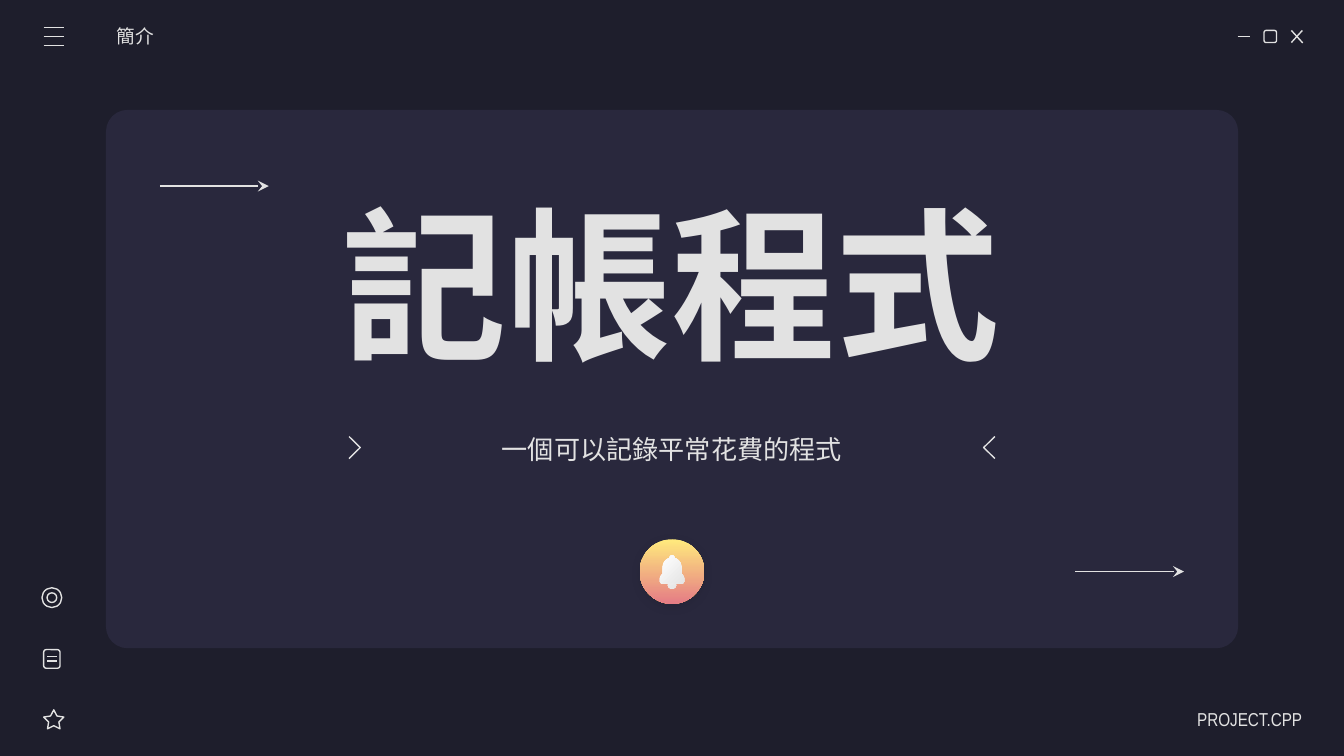
from lxml import etree
from pptx import Presentation
from pptx.dml.color import RGBColor
from pptx.enum.shapes import MSO_CONNECTOR, MSO_SHAPE
from pptx.enum.text import MSO_ANCHOR, PP_ALIGN
from pptx.oxml.ns import qn
from pptx.util import Pt

STRAIGHT = MSO_CONNECTOR.STRAIGHT
ROUNDED, OVAL, STAR = MSO_SHAPE.ROUNDED_RECTANGLE, MSO_SHAPE.OVAL, MSO_SHAPE.STAR_5_POINT
LEFT, CENTER, RIGHT = PP_ALIGN.LEFT, PP_ALIGN.CENTER, PP_ALIGN.RIGHT
MIDDLE = MSO_ANCHOR.MIDDLE

THEME = {
    "background": "1E1E2C", "panel": "29283D", "ink": "E2E2E2",
    "badge": ("FFEA7D", "E57C85"), "bell": ("FFFFFF", "E2E2E2"),
    "font": "Arial Narrow", "code_font": "Fira Code",
    "title": 88, "subtitle": 14, "label": 10, "line": 0.75,
}
WIDTH, HEIGHT = 720, 405
MIDDLE_X = WIDTH / 2
INSET = 7.2

TEXTS = [
    ("簡介", (62.6, 8.6, 84.2, 21.6), LEFT, "label", "font", False, (0, INSET)),
    ("記帳程式", (141.1, 100.1, 437, 102.2), CENTER, "title", "font", True, (INSET, INSET)),
    ("一個可以記錄平常花費的程式", (193, 205.9, 334.1, 69.8), CENTER, "subtitle", "code_font", False, (INSET, INSET)),
    ("PROJECT.CPP", (613.4, 374.4, 84.2, 21.6), RIGHT, "label", "font", False, (INSET, 0)),
]
MENU_BARS = [(23.4, y, 34.3, y) for y in (14.8, 19.6, 24.4)]
WINDOW_LINES = [(663.1, 19.6, 669.6, 19.6), (691.8, 16.3, 697.9, 23), (697.7, 16.3, 691.8, 22.8)]
NOTE_LINES = [(25.2, y, 30.5, y) for y in (351.7, 354.2)]
ARROWS = [(85.7, 99.7, 144, 99.7), (576, 306.2, 634.3, 306.2)]
ICONS = [
    (ROUNDED, (677.2, 16.3, 6.7, 6.5), None),
    (STAR, (23.4, 380.3, 10.8, 10.2), 0.254),
    (ROUNDED, (23.4, 348, 8.8, 10), None),
    (OVAL, (22.5, 314.9, 10.6, 10.6), None),
    (OVAL, (25.2, 317.6, 5.2, 5.2), None),
]
CHEVRON = [(187, 233.9), (193, 239.8), (187, 245.7)]
BELL_TOP = 297.4
BELL_CURVES = [
    ((0, 0), (0.8, 0), (1.4, 0.6), (1.4, 1.5)),
    ((1.4, 1.5), (3.6, 2.2), (5, 4), (5, 6.5)),
    ((5, 10.1), (5.9, 10.7), (6.5, 11.6), (6.5, 12.8)),
    ((6.5, 13.8), (6.5, 14.6), (6.1, 15.1), (5.6, 15.1)),
]
CLAPPER_CURVES = [((2.2, 15.8), (2.2, 17.2), (1.2, 18), (0, 18))]


def color(name):
    return RGBColor.from_string(THEME.get(name, name))


def add_line(slide, ends, arrow=False):
    line = slide.shapes.add_connector(STRAIGHT, *map(Pt, ends))
    line.line.color.rgb = color("ink")
    line.line.width = Pt(THEME["line"])
    if arrow:
        etree.SubElement(line.line._get_or_add_ln(), qn("a:tailEnd"), type="stealth")
    etree.SubElement(line._element.spPr, qn("a:effectLst"))


def outline(shape):
    shape.shadow.inherit = False
    shape.fill.background()
    shape.line.color.rgb = color("ink")
    shape.line.width = Pt(THEME["line"])


def fill_gradient(shape, stops, angle):
    shape.shadow.inherit = False
    shape.line.fill.background()
    shape.fill.gradient()
    shape.fill.gradient_angle = angle
    for stop, tone in zip(shape.fill.gradient_stops, THEME[stops]):
        stop.color.rgb = color(tone)


def add_shadow(shape):
    effects = shape._element.spPr.find(qn("a:effectLst"))
    shadow = etree.SubElement(effects, qn("a:outerShdw"), blurRad=str(Pt(4.5)),
                              dist=str(Pt(1.5)), dir="5400000", algn="bl", rotWithShape="0")
    tone = etree.SubElement(shadow, qn("a:srgbClr"), val=THEME["background"])
    etree.SubElement(tone, qn("a:alpha"), val="30000")


def curve_points(curve, steps=8):
    for step in range(steps + 1):
        t = step / steps
        weights = ((1 - t) ** 3, 3 * t * (1 - t) ** 2, 3 * t * t * (1 - t), t ** 3)
        yield tuple(sum(w * p[axis] for w, p in zip(weights, curve)) for axis in (0, 1))


def symmetric_contour(curves):
    half = [point for curve in curves for point in curve_points(curve)]
    whole = half + [(-x, y) for x, y in reversed(half)]
    return [(Pt(MIDDLE_X + x), Pt(BELL_TOP + y)) for x, y in whole]


def add_bell(slide):
    body, clapper = symmetric_contour(BELL_CURVES), symmetric_contour(CLAPPER_CURVES)
    builder = slide.shapes.build_freeform(*body[0])
    builder.add_line_segments(body[1:], close=True)
    builder.move_to(*clapper[0])
    builder.add_line_segments(clapper[1:], close=True)
    fill_gradient(builder.convert_to_shape(), "bell", 315)


def add_chevron(slide, points):
    points = [(Pt(x), Pt(y)) for x, y in points]
    builder = slide.shapes.build_freeform(*points[0])
    builder.add_line_segments(points[1:], close=False)
    outline(builder.convert_to_shape())


def add_text(slide, text, place, align, size, font, bold, sides):
    box = slide.shapes.add_textbox(*map(Pt, place))
    frame = box.text_frame
    frame.text = text
    frame.word_wrap = True
    frame.vertical_anchor = MIDDLE
    frame.margin_left, frame.margin_right = map(Pt, sides)
    frame.margin_top = frame.margin_bottom = Pt(INSET)
    para = frame.paragraphs[0]
    para.alignment = align
    span = para.runs[0].font
    span.name, span.size, span.bold = THEME[font], Pt(THEME[size]), bold
    span.color.rgb = color("ink")


def main():
    deck = Presentation()
    deck.slide_width, deck.slide_height = Pt(WIDTH), Pt(HEIGHT)
    slide = deck.slides.add_slide(deck.slide_layouts[6])
    slide.background.fill.solid()
    slide.background.fill.fore_color.rgb = color("background")

    panel = slide.shapes.add_shape(ROUNDED, *map(Pt, (56.8, 58.9, 606.5, 288.4)))
    panel.adjustments[0] = 0.04
    panel.shadow.inherit = False
    panel.fill.solid()
    panel.fill.fore_color.rgb = color("panel")
    panel.line.fill.background()

    for ends in WINDOW_LINES + MENU_BARS + NOTE_LINES:
        add_line(slide, ends)
    for kind, place, adjustment in ICONS:
        icon = slide.shapes.add_shape(kind, *map(Pt, place))
        if adjustment is not None:
            icon.adjustments[0] = adjustment
        outline(icon)
    for item in TEXTS:
        add_text(slide, *item)

    badge = slide.shapes.add_shape(OVAL, *map(Pt, (MIDDLE_X - 17.3, 288.9, 34.6, 34.6)))
    fill_gradient(badge, "badge", 270)
    add_shadow(badge)
    add_bell(slide)

    add_chevron(slide, CHEVRON)
    add_chevron(slide, [(WIDTH - x, y) for x, y in CHEVRON])
    for ends in ARROWS:
        add_line(slide, ends, arrow=True)
    deck.save("out.pptx")


if __name__ == "__main__":
    main()
